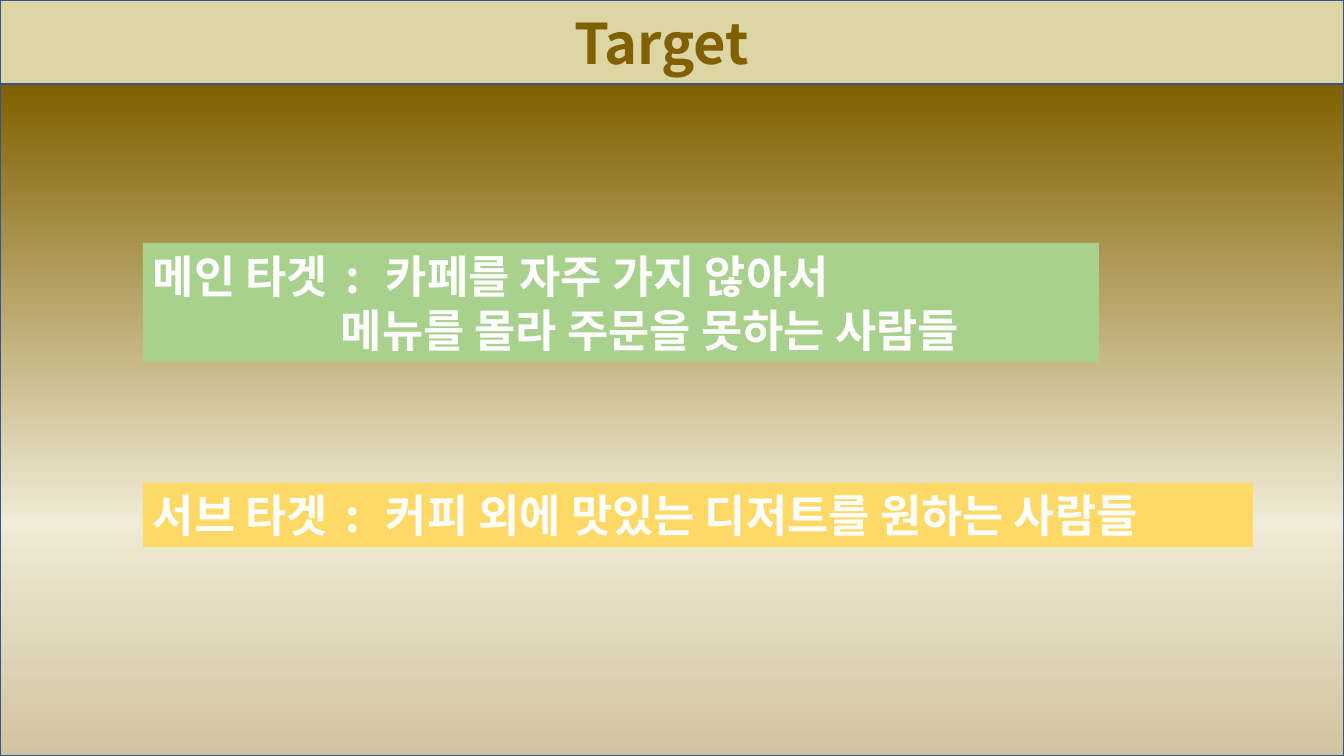
from lxml.etree import SubElement
from pptx import Presentation
from pptx.dml.color import RGBColor
from pptx.enum.shapes import MSO_SHAPE
from pptx.enum.text import MSO_ANCHOR, MSO_AUTO_SIZE, PP_ALIGN
from pptx.oxml.ns import qn
from pptx.util import Pt

# Content
TITLE = "Target"
SEPARATOR = " : "
# label, lines, fill, top, width, height
TARGETS = [
    ("메인 타겟", ["카페를 자주 가지 않아서", "메뉴를 몰라 주문을 못하는 사람들"],
     "main", 243, 956, 119),
    ("서브 타겟", ["커피 외에 맛있는 디저트를 원하는 사람들"],
     "sub", 483, 1110, 64),
]

# Style
COLORS = {"header": "DDD5A3", "border": "325491", "brown": "806000",
          "cream": "F0EBD5", "sand": "D1C39F", "main": "A9D18E",
          "sub": "FFD966", "white": "FFFFFF"}
BACKDROP_STOPS = [(0, "brown"), (65, "cream"), (100, "sand")]
FONT = "Noto Sans CJK KR"
PX = 9071  # EMU per px at 100.8 px to the inch
SLIDE_W, SLIDE_H, HEADER_H = 1344, 756, 84
TARGET_LEFT, SECOND_LINE_INDENT = 143, 188
SEPARATOR_SPACING = 540  # hundredths of a point


def color(key):
    return RGBColor.from_string(COLORS[key])


def add_panel(left, top, width, height):
    panel = slide.shapes.add_shape(
        MSO_SHAPE.RECTANGLE, *(n * PX for n in (left, top, width, height)))
    panel.shadow.inherit = False
    return panel


def add_border(panel):
    panel.line.color.rgb = color("border")
    panel.line.width = Pt(1)


def prepare_frame(frame):
    frame.word_wrap = True
    frame.auto_size = MSO_AUTO_SIZE.NONE
    frame.vertical_anchor = MSO_ANCHOR.MIDDLE


def add_run(paragraph, text, size, color_key):
    paragraph.alignment = PP_ALIGN.LEFT
    run = paragraph.add_run()
    run.text = text
    run.font.size, run.font.bold, run.font.name = Pt(size), True, FONT
    run.font.color.rgb = color(color_key)
    SubElement(run.font._element, qn("a:ea"), typeface=FONT)
    return run


presentation = Presentation()
presentation.slide_width = SLIDE_W * PX
presentation.slide_height = SLIDE_H * PX
slide = presentation.slides.add_slide(presentation.slide_layouts[5])

# Header band
header = add_panel(0, 0, SLIDE_W, HEADER_H)
header.fill.solid()
header.fill.fore_color.rgb = color("header")
add_border(header)

# Title, brought in front of the header
title = slide.shapes.title
title.left, title.top, title.width, title.height = (
    n * PX for n in (564, 3, 215, 78))
prepare_frame(title.text_frame)
add_run(title.text_frame.paragraphs[0], TITLE, 40, "brown")
header._element.addnext(title._element)

# Gradient backdrop
backdrop = add_panel(0, HEADER_H, SLIDE_W, SLIDE_H - HEADER_H)
backdrop.fill.gradient()
backdrop.fill.gradient_angle = 270
stops = backdrop._element.spPr.find(".//" + qn("a:gsLst"))
stops.clear()
for percent, key in BACKDROP_STOPS:
    stop = SubElement(stops, qn("a:gs"), pos=str(percent * 1000))
    SubElement(stop, qn("a:srgbClr"), val=COLORS[key])
add_border(backdrop)

# Target groups
for label, lines, fill_key, top, width, height in TARGETS:
    target = add_panel(TARGET_LEFT, top, width, height)
    target.fill.solid()
    target.fill.fore_color.rgb = color(fill_key)
    target.line.fill.background()
    frame = target.text_frame
    prepare_frame(frame)
    first = frame.paragraphs[0]
    add_run(first, label, 32, "white")
    separator = add_run(first, SEPARATOR, 32, "white")
    separator.font._element.set("spc", str(SEPARATOR_SPACING))
    add_run(first, lines[0], 32, "white")
    for line in lines[1:]:
        following = frame.add_paragraph()
        following._p.get_or_add_pPr().set("marL", str(SECOND_LINE_INDENT * PX))
        add_run(following, line, 32, "white")

presentation.save("out.pptx")
